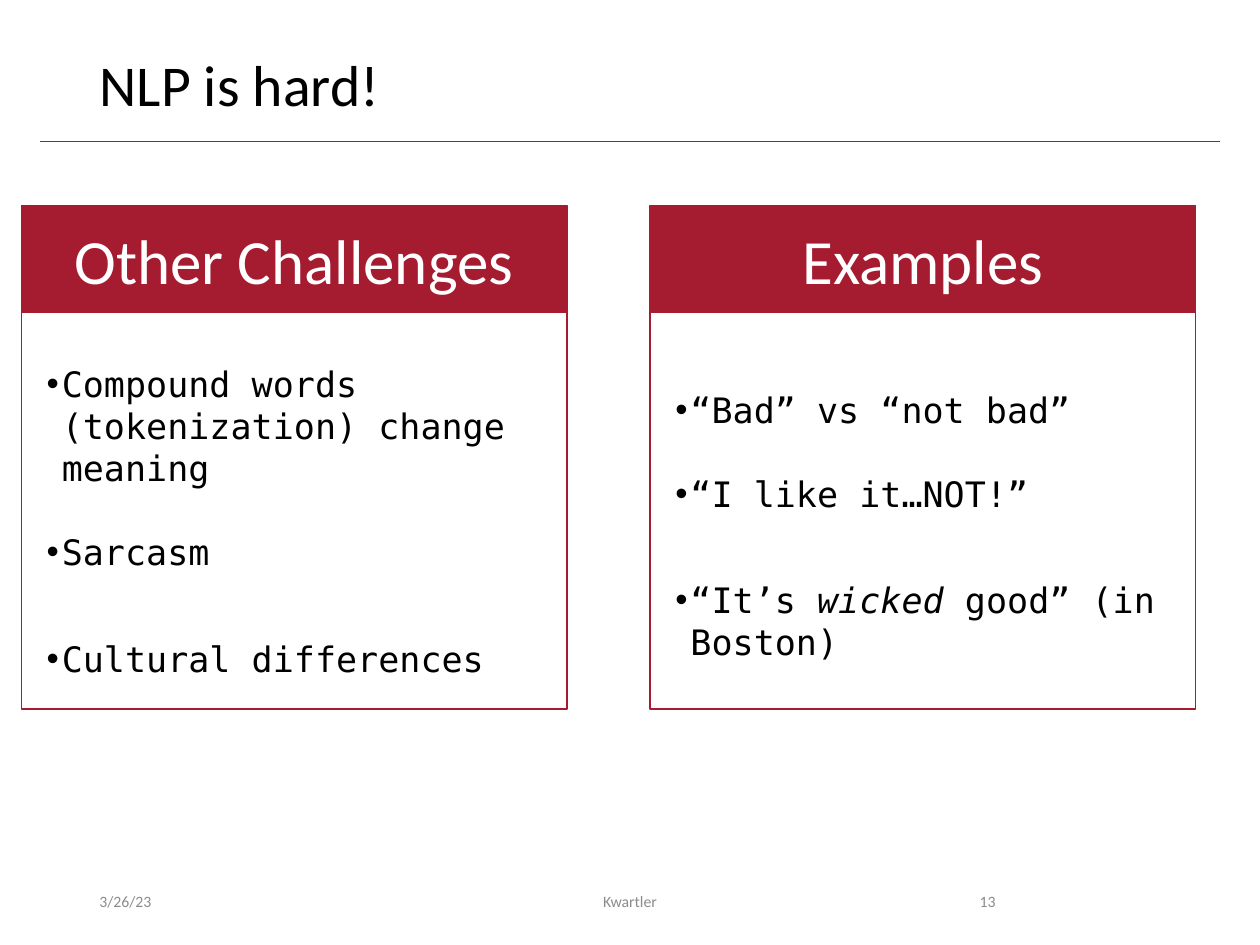
"""Build the "NLP is hard!" slide with two titled list panels."""
from dataclasses import dataclass

from lxml.etree import SubElement
from pptx import Presentation
from pptx.dml.color import RGBColor
from pptx.enum.shapes import MSO_CONNECTOR, MSO_SHAPE
from pptx.enum.text import MSO_ANCHOR as ANCHOR, MSO_AUTO_SIZE, PP_ALIGN as ALIGN
from pptx.oxml.ns import qn
from pptx.util import Inches, Pt

COLORS = {"crimson": "A51C30", "black": "000000", "white": "FFFFFF", "gray": "8C8C8C"}
FORMATS = {
    "title": {"name": "Calibri", "size": Pt(33), "color": "black"},
    "heading": {"name": "Calibri", "size": Pt(36), "color": "white"},
    "item": {"name": "DejaVu Sans Mono", "size": Pt(20), "color": "black"},
    "footer": {"name": "Calibri", "size": Pt(9), "color": "gray"},
}
PANEL_W = 4.33
LIST_INSET = 0.1
HANG = Inches(0.12)
ITEM_GAPS = (0, 24, 37)


@dataclass
class Panel:
    left: float
    list_top: float
    list_height: float
    heading: str
    items: list[list[tuple[str, bool]]]


@dataclass
class Footer:
    left: float
    width: float
    text: str
    align: ALIGN


PANELS = [
    Panel(0.17, 2.83, 2.31, "Other Challenges", [
        [("Compound words (tokenization) change meaning", False)],
        [("Sarcasm", False)],
        [("Cultural differences", False)],
    ]),
    Panel(5.16, 3.03, 1.97, "Examples", [
        [("“Bad” vs “not bad”", False)],
        [("“I like it…NOT!”", False)],
        [("“It’s ", False), ("wicked", True), (" good” (in Boston)", False)],
    ]),
]
FOOTERS = [
    Footer(0.69, 2.25, "3/26/23", ALIGN.LEFT),
    Footer(3.31, 3.38, "Kwartler", ALIGN.CENTER),
    Footer(7.06, 0.94, "13", ALIGN.RIGHT),
]


def rgb(name: str) -> RGBColor:
    return RGBColor.from_string(COLORS[name])


def place(sp, left: float, top: float, width: float, height: float) -> None:
    box = {"left": left, "top": top, "width": width, "height": height}
    for key, value in box.items():
        setattr(sp, key, Inches(value))


def style(font, kind: str) -> None:
    for key, value in FORMATS[kind].items():
        if key == "color":
            font.color.rgb = rgb(value)
        else:
            setattr(font, key, value)


def write(sp, text: str, kind: str, align: ALIGN, anchor: ANCHOR):
    tf = sp.text_frame
    tf.word_wrap = True
    tf.auto_size = MSO_AUTO_SIZE.NONE
    tf.vertical_anchor = anchor
    p = tf.paragraphs[0]
    p.alignment = align
    r = p.add_run()
    r.text = text
    style(r.font, kind)
    return p


def add_rect(slide, left: float, top: float, height: float, filled: bool):
    sp = slide.shapes.add_shape(MSO_SHAPE.RECTANGLE, Inches(left), Inches(top),
                                Inches(PANEL_W), Inches(height))
    sp.shadow.inherit = False
    if filled:
        sp.fill.solid()
        sp.fill.fore_color.rgb = rgb("crimson")
    else:
        sp.fill.background()
    sp.line.color.rgb = rgb("crimson")
    sp.line.width = Pt(1)
    return sp


def fill_list(sp, panel: Panel) -> None:
    place(sp, panel.left + LIST_INSET, panel.list_top, 4.15, panel.list_height)
    tf = sp.text_frame
    tf.word_wrap = True
    tf.auto_size = MSO_AUTO_SIZE.NONE
    tf.vertical_anchor = ANCHOR.TOP
    for i, (item, gap) in enumerate(zip(panel.items, ITEM_GAPS)):
        p = tf.paragraphs[0] if i == 0 else tf.add_paragraph()
        p.space_before = Pt(gap)
        pPr = p._p.get_or_add_pPr()
        pPr.set("marL", str(HANG))
        pPr.set("indent", str(-HANG))
        SubElement(pPr, qn("a:buFont"), typeface="Arial")
        SubElement(pPr, qn("a:buChar"), char="•")
        for text, italic in item:
            r = p.add_run()
            r.text = text
            style(r.font, "item")
            r.font.italic = italic


def add_panel(slide, body, panel: Panel) -> None:
    fill_list(body, panel)
    header = add_rect(slide, panel.left, 1.63, 0.85, True)
    write(header, panel.heading, "heading", ALIGN.CENTER, ANCHOR.MIDDLE)
    add_rect(slide, panel.left, 1.78, 3.85, False)


def add_rule(slide) -> None:
    rule = slide.shapes.add_connector(MSO_CONNECTOR.STRAIGHT, Inches(0.32), Inches(1.12),
                                      Inches(9.68), Inches(1.12))
    rule.line.color.rgb = rgb("crimson")
    rule.line.width = Pt(0.5)
    SubElement(rule._element.spPr, qn("a:effectLst"))


def add_footer(slide, footer: Footer) -> None:
    sp = slide.shapes.add_textbox(Inches(footer.left), Inches(6.95),
                                  Inches(footer.width), Inches(0.4))
    write(sp, footer.text, "footer", footer.align, ANCHOR.MIDDLE)


def main() -> None:
    prs = Presentation()
    prs.slide_width, prs.slide_height = Inches(10), Inches(7.5)
    slide = prs.slides.add_slide(prs.slide_layouts.get_by_name("Two Content"))
    title, *bodies = slide.placeholders
    place(title, 0.69, 0.4, 8.62, 0.65)
    p = write(title, "NLP is hard!", "title", ALIGN.LEFT, ANCHOR.TOP)
    p.line_spacing = 0.9
    add_rule(slide)
    for body, panel in zip(bodies, PANELS):
        add_panel(slide, body, panel)
    for footer in FOOTERS:
        add_footer(slide, footer)
    prs.save("out.pptx")


if __name__ == "__main__":
    main()
